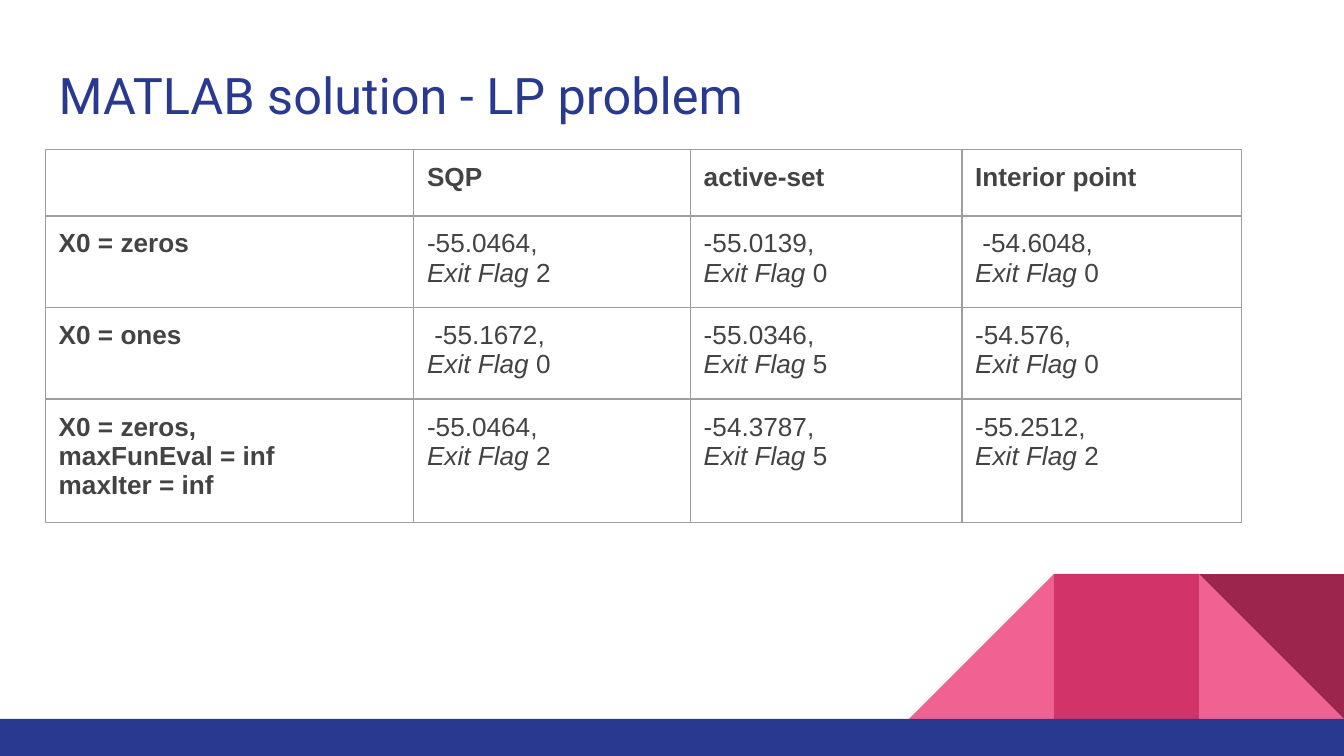
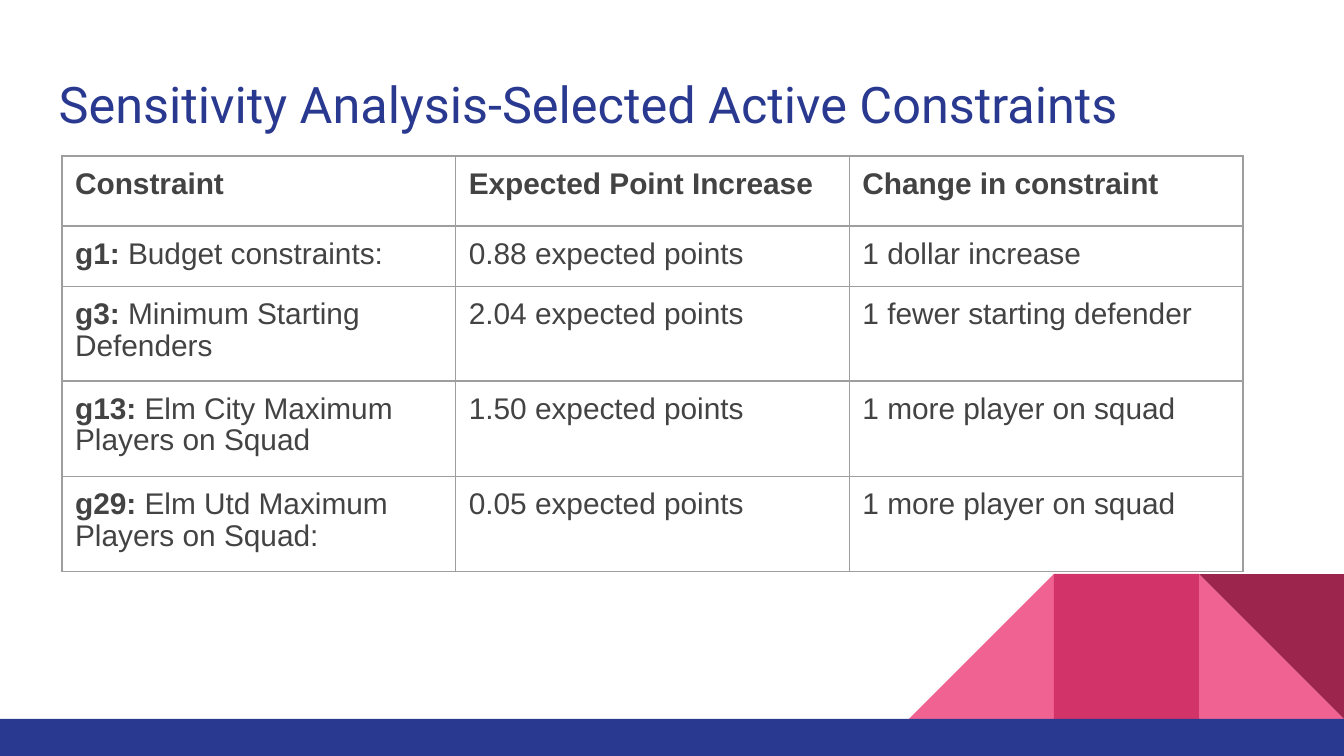
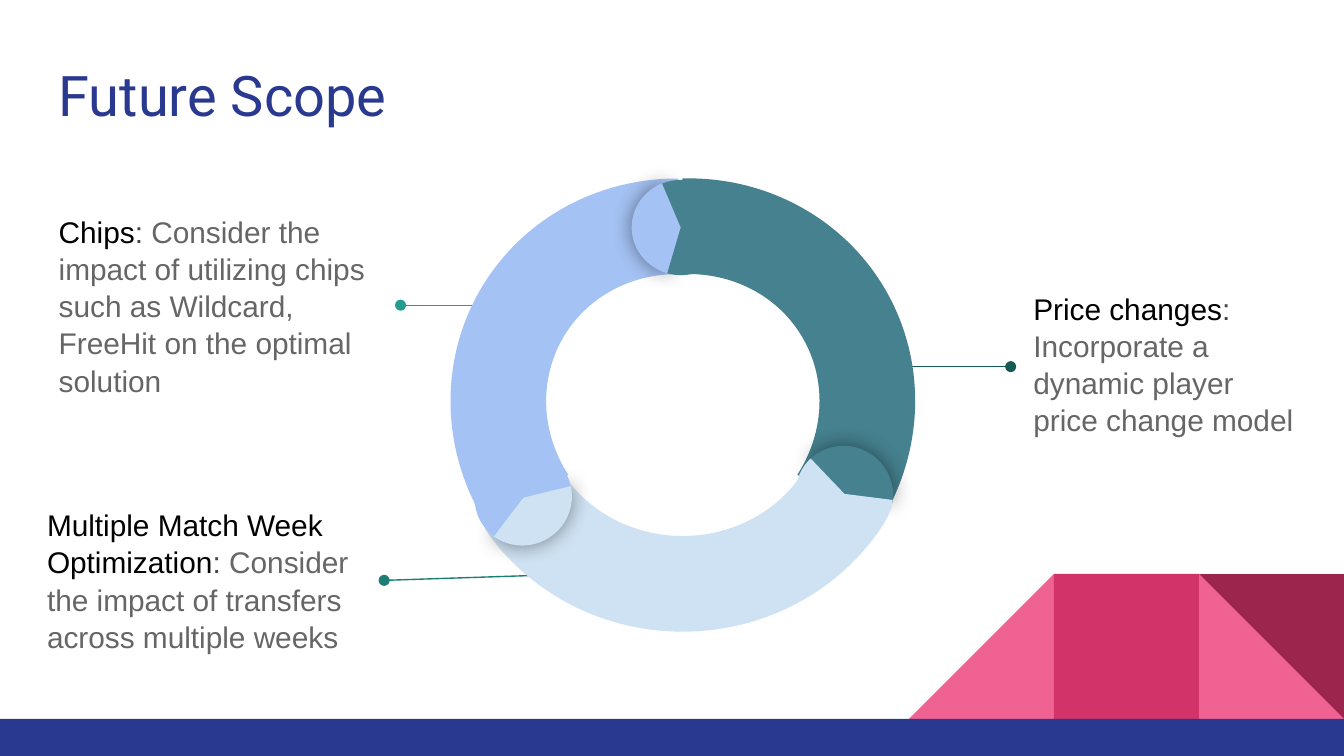
from lxml import etree
from pptx import Presentation
from pptx.dml.color import RGBColor
from pptx.enum.shapes import MSO_CONNECTOR, MSO_SHAPE as Preset
from pptx.enum.text import MSO_ANCHOR as Anchor
from pptx.oxml import parse_xml
from pptx.oxml.ns import nsdecls, qn
from pptx.util import Cm, Pt

# Colours
NAVY = RGBColor(0x2A, 0x39, 0x90)
PINK = RGBColor(0xF0, 0x62, 0x92)
ROSE = RGBColor(0xD2, 0x33, 0x69)
WINE = RGBColor(0x9C, 0x25, 0x4D)
BLACK = RGBColor(0, 0, 0)
DARK = RGBColor(0x43, 0x43, 0x43)
GREY = RGBColor(0x66, 0x66, 0x66)
BORDER = RGBColor(0x9E, 0x9E, 0x9E)
TEAL = RGBColor(0x45, 0x81, 0x8E)
PALE = RGBColor(0xCF, 0xE2, 0xF3)
SKY = RGBColor(0xA4, 0xC2, 0xF4)
CHIPS_LINE = RGBColor(0x24, 0x9C, 0x90)
PRICE_LINE = RGBColor(0x15, 0x5B, 0x54)
WEEKS_LINE = RGBColor(0x1D, 0x7E, 0x74)

WIDTH, HEIGHT = 25.4, 14.29
TILE, BAND = 2.74, 0.7
BOLD, ITALIC = {"bold": True}, {"italic": True}


class Deck:
    """Holds the style and the current slide; all lengths are centimetres."""

    def __init__(self):
        self.prs = Presentation()
        self.prs.slide_width, self.prs.slide_height = Cm(WIDTH), Cm(HEIGHT)
        self.slide = None

    def new_slide(self, title, top, height=1.68, size=27):
        self.slide = self.prs.slides.add_slide(self.prs.slide_layouts[6])
        self.mosaic()
        style = {"name": "Roboto", "size": Pt(size), "color": NAVY}
        self.text((0.86, top, 23.67, height), [[(title, style)]])

    def mosaic(self):
        band_top = HEIGHT - BAND
        tiles = [(1, Preset.RIGHT_TRIANGLE, PINK, 0, False),
                 (3, Preset.RIGHT_TRIANGLE, PINK, 0, True),
                 (2, Preset.RECTANGLE, ROSE, 0, False),
                 (1, Preset.RIGHT_TRIANGLE, WINE, 180, False)]
        for from_right, preset, colour, turn, mirrored in tiles:
            box = (WIDTH - from_right * TILE, band_top - TILE, TILE, TILE)
            tile = self.shape(preset, box, colour, turn)
            if mirrored:
                tile.element.spPr.find(qn("a:xfrm")).set("flipH", "1")
        self.shape(Preset.RECTANGLE, (0, band_top, WIDTH, BAND), NAVY)

    def shape(self, preset, box, colour, turn=0, adjust=(), glow=False):
        shape = self.slide.shapes.add_shape(preset, *map(Cm, box))
        shape.fill.solid()
        shape.fill.fore_color.rgb = colour
        shape.line.fill.background()
        shape.shadow.inherit = False
        shape.rotation = turn
        for index, value in enumerate(adjust):
            shape.adjustments[index] = value
        if glow:
            effects = shape.element.spPr.find(qn("a:effectLst"))
            effects.append(parse_xml(
                f'<a:outerShdw {nsdecls("a")} blurRad="{Pt(11.2)}" rotWithShape="0">'
                '<a:srgbClr val="000000"><a:alpha val="43000"/></a:srgbClr></a:outerShdw>'))
        return shape

    def paragraphs(self, frame, paragraphs, base, spacing):
        """Each paragraph is a list of (text, style) pairs."""
        for number, pieces in enumerate(paragraphs):
            para = frame.add_paragraph() if number else frame.paragraphs[0]
            for name, value in spacing.items():
                setattr(para, name, value)
            for words, style in pieces:
                run = para.add_run()
                run.text = words
                for name, value in {**base, **style}.items():
                    if name == "color":
                        run.font.color.rgb = value
                    else:
                        setattr(run.font, name, value)

    def text(self, box, paragraphs, base={}, spacing={}):
        frame = self.slide.shapes.add_textbox(*map(Cm, box)).text_frame
        layout = {"word_wrap": True, "vertical_anchor": Anchor.MIDDLE}
        layout.update({f"margin_{side}": Cm(0.25)
                       for side in ("left", "right", "top", "bottom")})
        for name, value in layout.items():
            setattr(frame, name, value)
        self.paragraphs(frame, paragraphs, base, spacing)

    def table(self, left, top, widths, heights, rows, size, spacing={}):
        grid = self.slide.shapes.add_table(
            len(rows), len(widths), Cm(left), Cm(top),
            Cm(sum(widths)), Cm(sum(heights))).table
        grid.first_row = grid.horz_banding = False
        for column, width in zip(grid.columns, widths):
            column.width = Cm(width)
        for line, height in zip(grid.rows, heights):
            line.height = Cm(height)
        base = {"name": "Arial", "size": Pt(size), "color": DARK}
        for r, row in enumerate(rows):
            for c, paragraphs in enumerate(row):
                cell = grid.cell(r, c)
                for side in ("left", "right", "top", "bottom"):
                    setattr(cell, f"margin_{side}", Cm(0.25))
                cell.fill.background()
                self.borders(cell)
                self.paragraphs(cell.text_frame, paragraphs, base, spacing)

    def borders(self, cell):
        props = cell._tc.get_or_add_tcPr()
        for index, edge in enumerate("LRTB"):
            props.insert(index, parse_xml(
                f'<a:ln{edge} {nsdecls("a")} w="{Pt(0.75)}"><a:solidFill>'
                f'<a:srgbClr val="{BORDER}"/></a:solidFill></a:ln{edge}>'))

    def pointer(self, start, end, colour):
        pointer = self.slide.shapes.add_connector(
            MSO_CONNECTOR.STRAIGHT, *map(Cm, start + end))
        pointer.line.color.rgb = colour
        pointer.line.width = Pt(0.75)
        etree.SubElement(pointer.get_or_add_ln(), qn("a:tailEnd"), type="oval")
        etree.SubElement(pointer.element.spPr, qn("a:effectLst"))

    def callout(self, box, heading, words, start, end, colour):
        pieces = [(heading, {"color": BLACK}), (": ", {"color": DARK}),
                  (words, {"color": GREY})]
        self.text(box, [pieces], {"name": "Arial", "size": Pt(16)},
                  {"line_spacing": 1.04})
        self.pointer(start, end, colour)


def bold(*lines):
    return [[(line, BOLD)] for line in lines]


def result(value, flag):
    return [[(f"{value},", {})], [("Exit Flag", ITALIC), (f" {flag}", {})]]


def constraint(code, words, gain, change):
    return [[[(f"{code}: ", BOLD), (words, {})]],
            [[(f"{gain} expected points", {})]], [[(change, {})]]]


def solver_slide(deck):
    deck.new_slide("MATLAB solution - LP problem", 0.94)
    rows = [
        [[], bold("SQP"), bold("active-set"), bold("Interior point")],
        [bold("X0 = zeros"), result("-55.0464", 2),
         result("-55.0139", 0), result(" -54.6048", 0)],
        [bold("X0 = ones"), result(" -55.1672", 0),
         result("-55.0346", 5), result("-54.576", 0)],
        [bold("X0 = zeros,", "maxFunEval = inf", "maxIter = inf"),
         result("-55.0464", 2), result("-54.3787", 5), result("-55.2512", 2)],
    ]
    deck.table(0.86, 2.82, [6.96, 5.23, 5.13, 5.28],
               [1.12, 1.73, 1.73, 2.34], rows, 14)


def sensitivity_slide(deck):
    deck.new_slide("Sensitivity Analysis-Selected Active Constraints", 1.12)
    rows = [
        [bold("Constraint"), bold("Expected Point Increase"),
         bold("Change in constraint")],
        constraint("g1", "Budget constraints:", "0.88", "1 dollar increase"),
        constraint("g3", "Minimum Starting Defenders", "2.04",
                   "1 fewer starting defender"),
        constraint("g13", "Elm City Maximum Players on Squad", "1.50",
                   "1 more player on squad"),
        constraint("g29", "Elm Utd Maximum Players on Squad:", "0.05",
                   "1 more player on squad"),
    ]
    deck.table(1.17, 2.95, [7.44] * 3, [1.32, 1.04, 1.32, 1.8, 1.8], rows, 16,
               {"line_spacing": 0.95, "space_after": Pt(12)})


def future_slide(deck):
    deck.new_slide("Future Scope", 0.79, 1.98, 30)
    deck.callout((0.86, 3.68, 6.71, 4.17), "Chips",
                 "Consider the impact of utilizing chips such as Wildcard, "
                 "FreeHit on the optimal solution",
                 (9.53, 5.77), (7.57, 5.77), CHIPS_LINE)
    deck.callout((19.28, 5.08, 5.49, 3.58), "Price changes",
                 "Incorporate a dynamic player price change model",
                 (15.52, 6.93), (19.1, 6.93), PRICE_LINE)
    deck.callout((0.64, 9.17, 6.63, 3.58), "Multiple Match Week Optimization",
                 "Consider the impact of transfers across multiple weeks",
                 (10.92, 10.85), (7.26, 10.97), WEEKS_LINE)

    # Ring segments
    for box, colour, turn, end, thickness in [
            ((8.56, 3.25, 8.61, 8.94), TEAL, 60, 197.82, 0.21),
            ((8.43, 3.33, 8.94, 8.61), PALE, 180, 196.63, 0.21),
            ((8.64, 3.25, 8.61, 8.94), SKY, 300, 197.03, 0.21)]:
        deck.shape(Preset.BLOCK_ARC, box, colour, turn, (126.22, end, thickness))

    # Joints: a shaded cap over the seam, then the next segment's edge
    for box, turn, cap, edge in [
            ((8.99, 8.48, 1.8, 1.85), 240.6, PALE, SKY),
            ((11.94, 3.4, 1.85, 1.8), 0.7, SKY, TEAL),
            ((15.06, 8.41, 1.8, 1.85), 120.7, TEAL, PALE)]:
        deck.shape(Preset.PIE, box, cap, turn, (61.9, 149.96), glow=True)
        deck.shape(Preset.PIE, box, edge, (turn // 60 * 60 + 180) % 360,
                   (40.28, 171.84))


def main():
    deck = Deck()
    solver_slide(deck)
    sensitivity_slide(deck)
    future_slide(deck)
    deck.prs.save("out.pptx")


if __name__ == "__main__":
    main()
